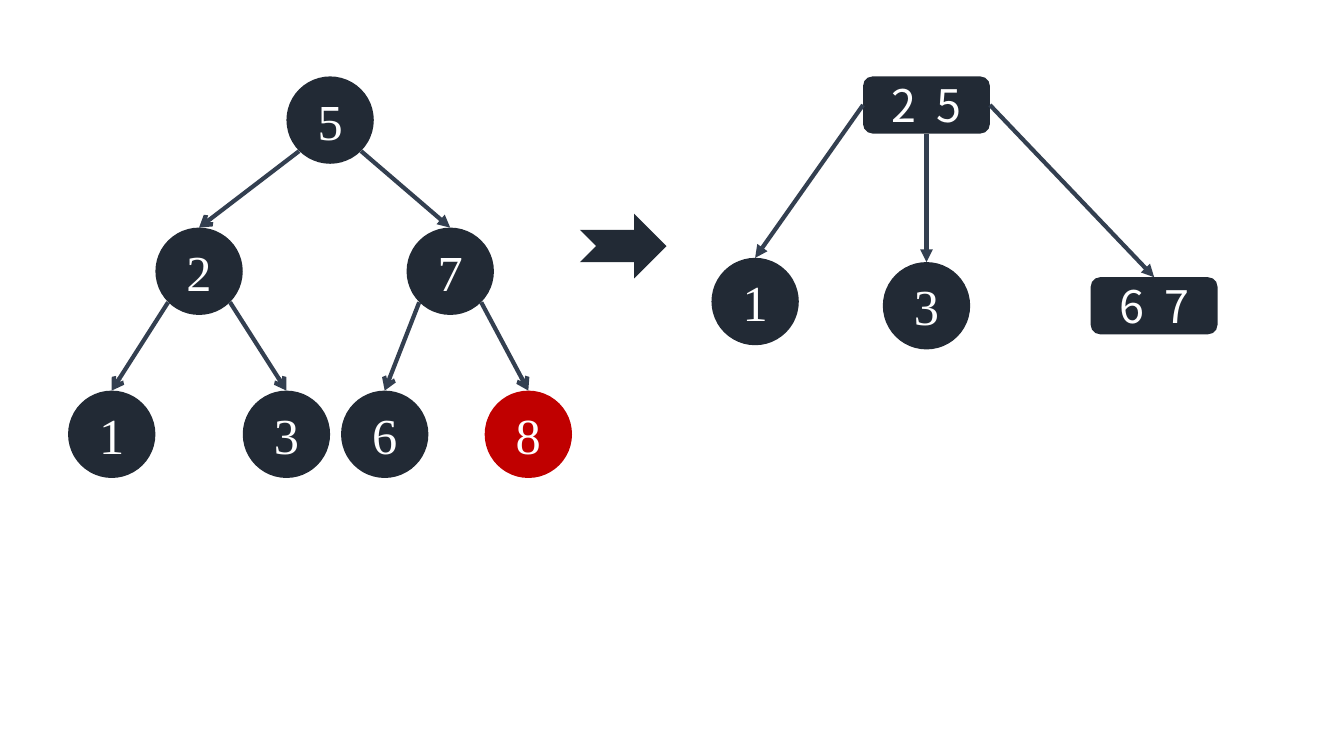
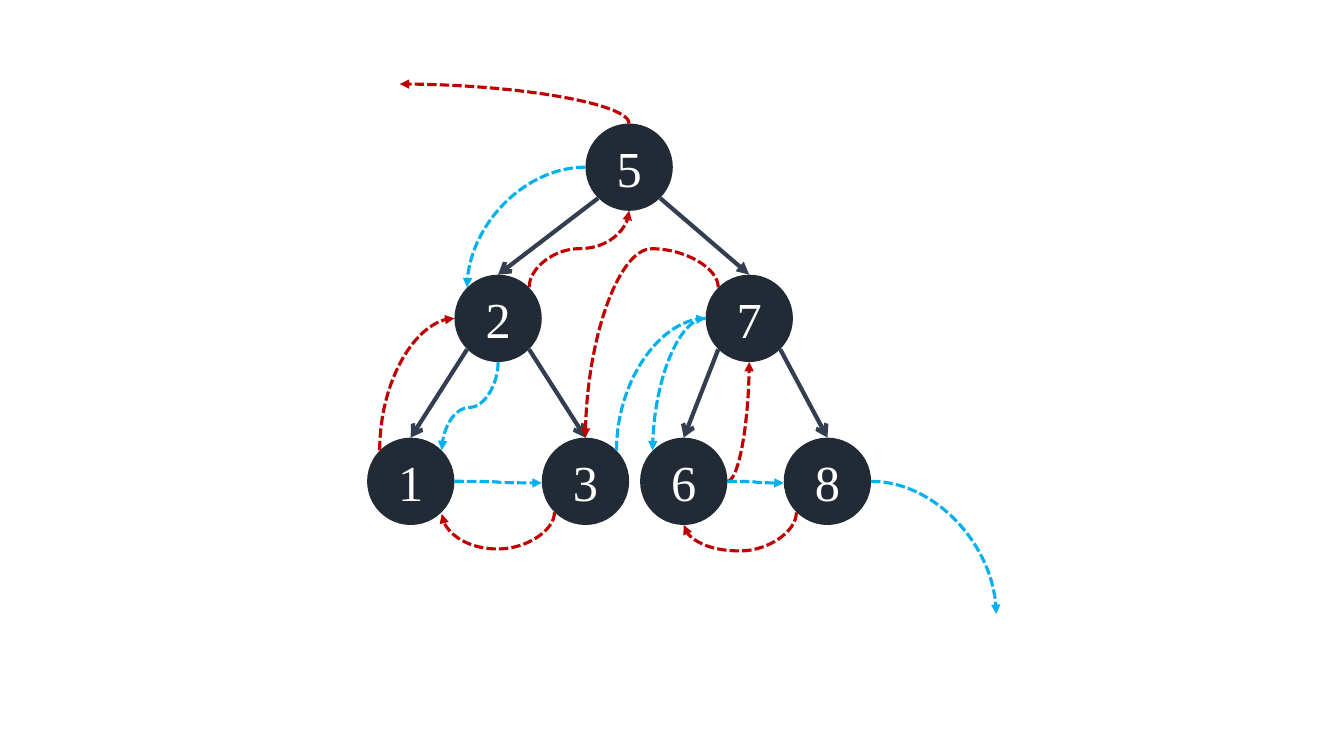
"""Build two slides on binary search trees: node merging and traversal order."""
from dataclasses import dataclass
from typing import Any, NamedTuple, Optional

from lxml import etree
from pptx import Presentation
from pptx.dml.color import RGBColor
from pptx.enum.dml import MSO_LINE
from pptx.enum.shapes import MSO_CONNECTOR, MSO_SHAPE
from pptx.enum.text import MSO_ANCHOR, PP_ALIGN
from pptx.oxml.ns import qn
from pptx.util import Inches, Pt

CIRCLE, ROUNDED, NOTCHED = MSO_SHAPE.OVAL, MSO_SHAPE.ROUNDED_RECTANGLE, MSO_SHAPE.NOTCHED_RIGHT_ARROW
STRAIGHT, CURVED = MSO_CONNECTOR.STRAIGHT, MSO_CONNECTOR.CURVE
DASHED = MSO_LINE.SQUARE_DOT
MIDDLE, CENTER = MSO_ANCHOR.MIDDLE, PP_ALIGN.CENTER
OPEN, SOLID = "arrow", "triangle"

COLUMNS, ROWS = 16, 9
CELL = Inches(7.5) / ROWS
DIAMETER = 1.04
BOX_WIDTH, BOX_HEIGHT = 1.51, 0.68
SMALLEST_SPAN = 0.02
QUARTER_TURN = "5400000"
DIAGONAL = 0.71
SIDES = {
    "top": (0, -1), "left": (-1, 0), "bottom": (0, 1), "right": (1, 0),
    "top left": (-DIAGONAL, -DIAGONAL), "top right": (DIAGONAL, -DIAGONAL),
    "bottom left": (-DIAGONAL, DIAGONAL), "bottom right": (DIAGONAL, DIAGONAL),
}


@dataclass(frozen=True)
class Theme:
    """Colours, fonts and sizes shared by the slides."""
    node: RGBColor = RGBColor.from_string("222A35")
    edge: RGBColor = RGBColor.from_string("333F50")
    red: RGBColor = RGBColor.from_string("C00000")
    blue: RGBColor = RGBColor.from_string("00B0F0")
    label: RGBColor = RGBColor.from_string("FFFFFF")
    circle_font: str = "Times New Roman"
    box_font: str = "Noto Sans CJK SC"
    circle_size: Pt = Pt(36)
    box_size: Pt = Pt(32)
    edge_width: Pt = Pt(3)
    trail_width: Pt = Pt(2.25)
    box_tracking: str = "360"


THEME = Theme()


class Point(NamedTuple):
    """A place in grid columns and rows."""
    x: float
    y: float


@dataclass(frozen=True)
class Node:
    """A tree node, placed by its centre."""
    label: str
    center: Point
    width: float = DIAMETER
    height: float = DIAMETER
    outline: Any = CIRCLE
    fill: RGBColor = THEME.node

    def side(self, name: str) -> Point:
        """Return the point on the given side."""
        x, y = SIDES[name]
        return Point(self.center.x + x * self.width / 2, self.center.y + y * self.height / 2)


@dataclass(frozen=True)
class Edge:
    """A straight arrow between two nodes."""
    start: Point
    end: Point
    head: str = SOLID


@dataclass(frozen=True)
class Trail:
    """A curved dashed arrow, with an optional bend measured from its start."""
    start: Point
    end: Point
    color: RGBColor
    upright: bool = True
    bend: Optional[float] = None


TREE_OFFSETS = {
    "5": (0, 0), "2": (-1.56, 1.8), "7": (1.43, 1.8),
    "1": (-2.6, 3.74), "3": (-0.52, 3.74), "6": (0.65, 3.74), "8": (2.36, 3.74),
}
TREE_EDGES = (
    ("5", "2", "left", OPEN), ("5", "7", "right", SOLID),
    ("2", "1", "left", OPEN), ("7", "6", "left", OPEN),
    ("7", "8", "right", OPEN), ("2", "3", "right", OPEN),
)


def cells(*counts: float) -> list[int]:
    """Convert grid counts to slide units."""
    return [round(count * CELL) for count in counts]


def assign(target: Any, values: dict[str, Any]) -> None:
    """Set each named attribute on the target."""
    for name, value in values.items():
        setattr(target, name, value)


def draw_node(slide: Any, node: Node) -> None:
    """Draw a filled outline with its centred label."""
    left, top = node.center.x - node.width / 2, node.center.y - node.height / 2
    body = slide.shapes.add_shape(node.outline, *cells(left, top, node.width, node.height))
    body.shadow.inherit = False
    body.fill.solid()
    body.fill.fore_color.rgb = node.fill
    body.line.fill.background()
    if not node.label:
        return
    boxed = node.outline == ROUNDED
    assign(body.text_frame, {"vertical_anchor": MIDDLE, "word_wrap": True})
    paragraph = body.text_frame.paragraphs[0]
    paragraph.alignment = CENTER
    label = paragraph.add_run()
    label.text = node.label
    assign(label.font, {
        "name": THEME.box_font if boxed else THEME.circle_font,
        "size": THEME.box_size if boxed else THEME.circle_size,
    })
    label.font.color.rgb = THEME.label
    if boxed:
        label.font._element.set("spc", THEME.box_tracking)


def finish_arrow(arrow: Any, color: RGBColor, head: str, style: dict[str, Any]) -> None:
    """Give a connector its line, arrowhead and flat look."""
    arrow.line.color.rgb = color
    assign(arrow.line, style)
    properties = arrow.element.spPr
    etree.SubElement(properties.find(qn("a:ln")), qn("a:tailEnd"), type=head)
    etree.SubElement(properties, qn("a:effectLst"))


def draw_edge(slide: Any, edge: Edge) -> None:
    """Draw a straight arrow."""
    arrow = slide.shapes.add_connector(STRAIGHT, *cells(*edge.start, *edge.end))
    finish_arrow(arrow, THEME.edge, edge.head, {"width": THEME.edge_width})


def draw_trail(slide: Any, trail: Trail) -> None:
    """Draw a curve, turned by a quarter when it leaves its start upright."""
    start = trail.start
    across = trail.end.x - start.x
    down = trail.end.y - start.y or SMALLEST_SPAN
    ends = (*start, start.x + across, start.y + down)
    if trail.upright:
        x, y = start.x + across / 2, start.y + down / 2
        ends = (x - down / 2, y + across / 2, x + down / 2, y - across / 2)
    arrow = slide.shapes.add_connector(CURVED, *cells(*ends))
    properties = arrow.element.spPr
    if trail.upright:
        properties.find(qn("a:xfrm")).set("rot", QUARTER_TURN)
    geometry = properties.find(qn("a:prstGeom"))
    if trail.bend is None:
        geometry.set("prst", "curvedConnector2")
    else:
        share = round(100000 * trail.bend / (down if trail.upright else across))
        etree.SubElement(geometry.find(qn("a:avLst")), qn("a:gd"), name="adj1", fmla=f"val {share}")
    finish_arrow(arrow, trail.color, SOLID, {"width": THEME.trail_width, "dash_style": DASHED})


def draw_tree(slide: Any, root: Point, fills: dict[str, RGBColor]) -> dict[str, Node]:
    """Draw the binary tree below its root and return its nodes."""
    nodes = {
        label: Node(label, Point(root.x + x, root.y + y), fill=fills.get(label, THEME.node))
        for label, (x, y) in TREE_OFFSETS.items()
    }
    for node in nodes.values():
        draw_node(slide, node)
    for parent, child, hand, head in TREE_EDGES:
        draw_edge(slide, Edge(nodes[parent].side(f"bottom {hand}"), nodes[child].side("top"), head))
    return nodes


def draw_merging(slide: Any) -> None:
    """Draw the binary tree turning into a tree of wider nodes."""
    draw_tree(slide, Point(3.93, 1.43), {"8": THEME.red})
    root = Node("2 5", Point(11.03, 1.25), BOX_WIDTH, BOX_HEIGHT, ROUNDED)
    children = {
        "left": Node("1", Point(8.99, 3.59)),
        "bottom": Node("3", Point(11.03, 3.64)),
        "right": Node("6 7", Point(13.74, 3.64), BOX_WIDTH, BOX_HEIGHT, ROUNDED),
    }
    for node in (root, *children.values()):
        draw_node(slide, node)
    for hand, child in children.items():
        draw_edge(slide, Edge(root.side(hand), child.side("top")))
    draw_node(slide, Node("", Point(7.42, 2.93), 1.03, 0.77, NOTCHED))


def draw_traversal(slide: Any) -> None:
    """Draw the binary tree with its forward and backward trails."""
    nodes = draw_tree(slide, Point(7.49, 1.99), {})
    five, two, seven, one, three, six, eight = nodes.values()
    red, blue = THEME.red, THEME.blue
    trails = (
        Trail(five.side("top"), Point(4.76, 1), red),
        Trail(five.side("left"), two.side("top left"), blue, upright=False),
        Trail(two.side("top right"), five.side("bottom"), red, bend=-0.46),
        Trail(one.side("top left"), two.side("left"), red),
        Trail(one.side("right"), three.side("left"), blue, upright=False, bend=0.52),
        Trail(two.side("bottom"), one.side("top right"), blue, bend=0.54),
        Trail(three.side("bottom left"), one.side("bottom right"), red, bend=0.44),
        Trail(three.side("top right"), seven.side("left"), blue),
        Trail(seven.side("top left"), three.side("top"), red, bend=-0.46),
        Trail(seven.side("left"), six.side("top left"), blue, upright=False),
        Trail(six.side("right"), seven.side("bottom"), red, upright=False),
        Trail(six.side("right"), eight.side("left"), blue, upright=False, bend=0.34),
        Trail(eight.side("right"), Point(11.86, 7.31), blue, upright=False),
        Trail(eight.side("bottom left"), six.side("bottom"), red, bend=0.46),
    )
    for trail in trails:
        draw_trail(slide, trail)


def main() -> None:
    """Build and save the presentation."""
    deck = Presentation()
    width, height = cells(COLUMNS, ROWS)
    assign(deck, {"slide_width": width, "slide_height": height})
    blank = deck.slide_layouts[6]
    for draw in (draw_merging, draw_traversal):
        draw(deck.slides.add_slide(blank))
    deck.save("out.pptx")


main()
